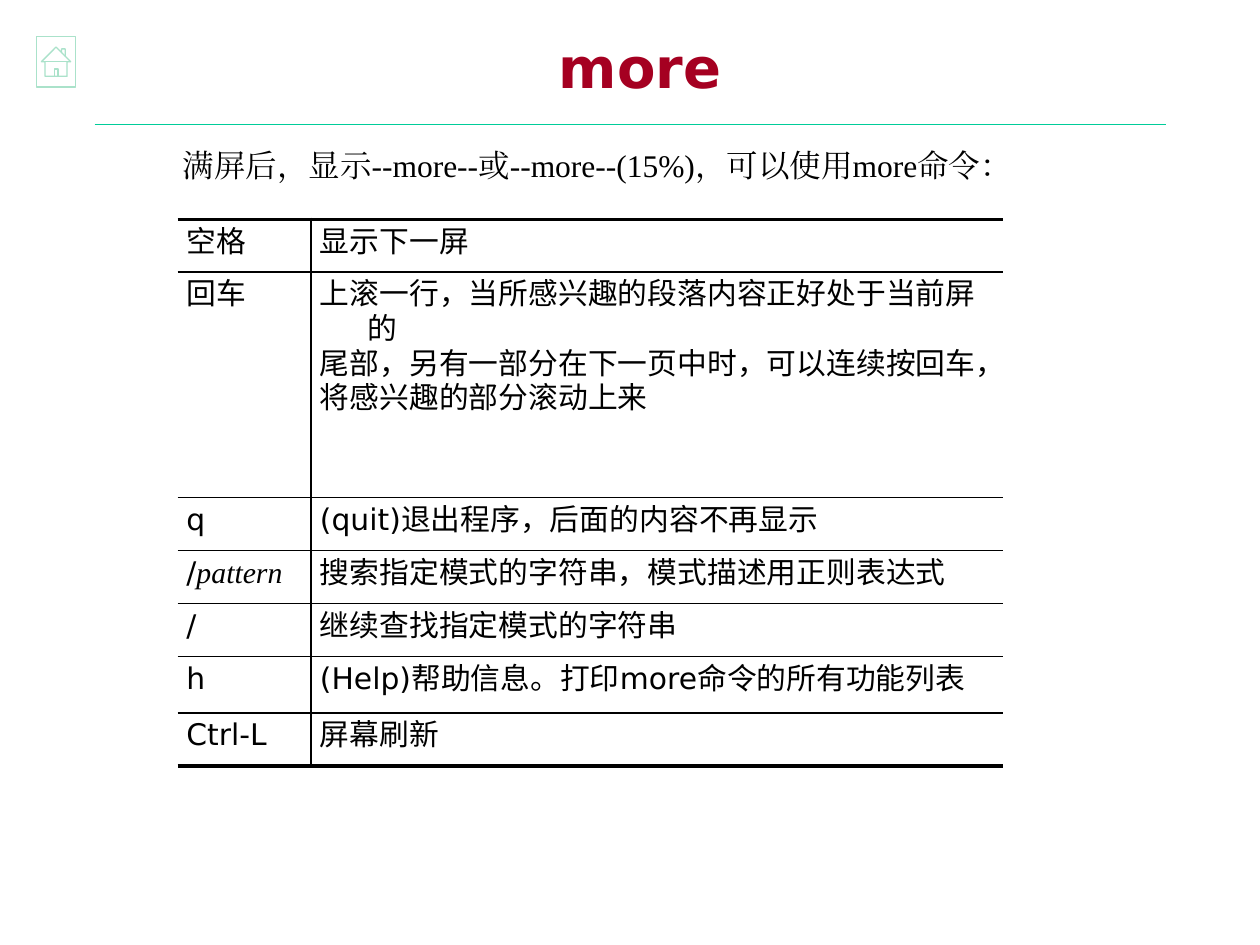
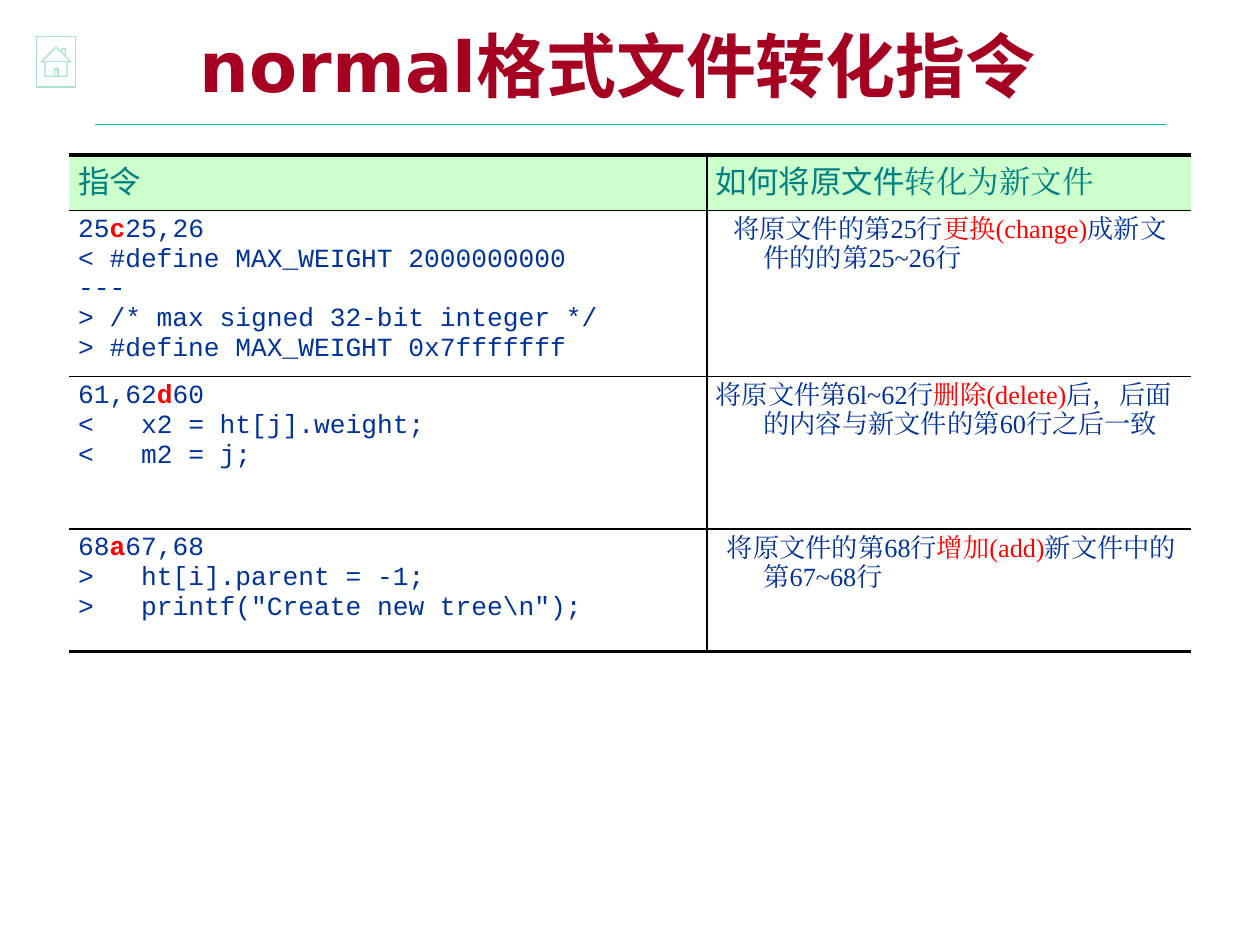
from lxml import etree
from pptx import Presentation
from pptx.dml.color import RGBColor
from pptx.enum.shapes import MSO_CONNECTOR as Connector, MSO_SHAPE as Preset
from pptx.enum.text import MSO_ANCHOR as Anchor, MSO_AUTO_SIZE as AutoSize, PP_ALIGN as Align
from pptx.oxml.ns import qn
from pptx.util import Inches, Pt

COLORS = {
    "black": "000000",
    "title": "A50021",
    "rule": "00CC99",
    "home": "AAE2CA",
    "head_fill": "CCFFCC",
    "head_text": "008080",
    "body": "003399",
    "key": "FF0000",
}
SANS, SERIF = "DejaVu Sans", "Times New Roman"
CODE, HEAD, HEAD_ALT = "Courier New", "Noto Sans Mono", "Cambria"
HANG = 0.38
THIN, THICK = 1, 2.25


def color(name):
    return RGBColor.from_string(COLORS[name])


def add_span(para, text, font=SANS, size=17, ink="black", bold=False, italic=False):
    span = para.add_run()
    span.text = text
    span.font.name = font
    span.font.size = Pt(size)
    span.font.bold = bold
    span.font.italic = italic
    span.font.color.rgb = color(ink)
    east = etree.SubElement(span.font._element, qn("a:ea"))
    east.set("typeface", font)


def set_indent(para, left, first, tab=None):
    props = para._p.get_or_add_pPr()
    props.set("marL", str(Inches(left)))
    props.set("indent", str(Inches(first)))
    if tab:
        stops = etree.SubElement(props, qn("a:tabLst"))
        etree.SubElement(stops, qn("a:tab"), pos=str(Inches(tab)), algn="l")


def set_margins(holder):
    holder.margin_left = holder.margin_right = Inches(0.07)
    holder.margin_top = holder.margin_bottom = Inches(0.04)


def set_border(cell, index, side, width):
    line = etree.Element(qn(f"a:{side}"), w=str(Pt(width)))
    if width:
        fill = etree.SubElement(line, qn("a:solidFill"))
        etree.SubElement(fill, qn("a:srgbClr"), val=COLORS["black"])
    else:
        etree.SubElement(line, qn("a:noFill"))
    cell._tc.get_or_add_tcPr().insert(index, line)


class SlideBuilder:
    def __init__(self):
        self.deck = Presentation()
        self.deck.slide_width = Inches(10)
        self.deck.slide_height = Inches(7.5)
        self.page = None

    def add_page(self, title, left, width, size):
        self.page = self.deck.slides.add_slide(self.deck.slide_layouts[5])
        self.rule()
        self.title(title, left, width, size)
        self.home_button()

    def title(self, text, left, width, size):
        box = self.page.shapes.title
        box.left, box.top = Inches(left), Inches(0.13)
        box.width, box.height = Inches(width), Inches(0.87)
        frame = box.text_frame
        frame.auto_size = AutoSize.NONE
        frame.word_wrap = True
        frame.vertical_anchor = Anchor.MIDDLE
        para = frame.paragraphs[0]
        para.alignment = Align.CENTER
        para.line_spacing = 0.85
        add_span(para, text, size=size, ink="title", bold=True)

    def rule(self):
        line = self.page.shapes.add_connector(
            Connector.STRAIGHT, Inches(0.75), Inches(0.99), Inches(9.25), Inches(0.99))
        line.line.color.rgb = color("rule")
        line.line.width = Pt(0.75)
        etree.SubElement(line._element.spPr, qn("a:effectLst"))

    def home_button(self):
        button = self.page.shapes.add_shape(
            Preset.ACTION_BUTTON_HOME, Inches(0.29), Inches(0.29), Inches(0.31), Inches(0.4))
        button.shadow.inherit = False
        button.fill.background()
        button.line.color.rgb = color("home")
        button.line.width = Pt(0.75)

    def note(self, text, left, top, width, height):
        box = self.page.shapes.add_textbox(
            Inches(left), Inches(top), Inches(width), Inches(height))
        frame = box.text_frame
        frame.word_wrap = True
        set_margins(frame)
        para = frame.paragraphs[0]
        para.line_spacing = 0.9
        set_indent(para, 0.28, -0.28)
        add_span(para, text, font=SERIF, size=18)

    def table(self, left, top, widths, heights, rows, header=False):
        """Each cell is a list of paragraphs: (spans, indent options)."""
        table = self.page.shapes.add_table(
            len(rows), len(widths), Inches(left), Inches(top),
            Inches(sum(widths)), Inches(sum(heights))).table
        table.first_row = header
        table.horz_banding = False
        for column, width in zip(table.columns, widths):
            column.width = Inches(width)
        for r, (row, height) in enumerate(zip(rows, heights)):
            table.rows[r].height = Inches(height)
            for c, paragraphs in enumerate(row):
                cell = table.cell(r, c)
                if header and r == 0:
                    cell.fill.solid()
                    cell.fill.fore_color.rgb = color("head_fill")
                else:
                    cell.fill.background()
                borders = {
                    "lnL": THIN if c else 0,
                    "lnR": THIN if c < len(widths) - 1 else 0,
                    "lnT": THIN if r else THICK,
                    "lnB": THIN if r < len(rows) - 1 else THICK,
                }
                for index, (side, width) in enumerate(borders.items()):
                    set_border(cell, index, side, width)
                self.fill_cell(cell, paragraphs)

    def fill_cell(self, cell, paragraphs):
        set_margins(cell)
        frame = cell.text_frame
        for index, (spans, indent) in enumerate(paragraphs):
            para = frame.paragraphs[0] if index == 0 else frame.add_paragraph()
            set_indent(para, **{"left": HANG, "first": -HANG, **indent})
            for text, style in spans:
                add_span(para, text, **style)


def plain(*lines):
    return [([(line, {})], {}) for line in lines]


def marked(before, key, after, font, bold=False, **indent):
    body = {"font": font, "size": 15, "ink": "body"}
    return [([(before, body), (key, {**body, "ink": "key", "bold": bold}), (after, body)], indent)]


def code(first, lines, tab=None):
    body = {"font": CODE, "size": 15, "ink": "body"}
    indent = {"left": 0, "first": 0, "tab": tab} if tab else {}
    return marked(*first, CODE, bold=True) + [([(line, body)], indent) for line in lines]


def explain(before, key, after, shift=0):
    return marked(before, key, after, SERIF, first=shift - HANG)


def build_more(builder):
    builder.add_page("more", 0.83, 8.5, 32)
    builder.note("满屏后，显示--more--或--more--(15%)，可以使用more命令：", 1.38, 1.15, 7, 0.35)
    pattern = [([("/", {}), ("pattern", {"font": SERIF, "italic": True})], {})]
    rows = [
        (plain("空格"), plain("显示下一屏")),
        (plain("回车"), plain("上滚一行，当所感兴趣的段落内容正好处于当前屏的",
                            "尾部，另有一部分在下一页中时，可以连续按回车，",
                            "将感兴趣的部分滚动上来")),
        (plain("q"), plain("(quit)退出程序，后面的内容不再显示")),
        (pattern, plain("搜索指定模式的字符串，模式描述用正则表达式")),
        (plain("/"), plain("继续查找指定模式的字符串")),
        (plain("h"), plain("(Help)帮助信息。打印more命令的所有功能列表")),
        (plain("Ctrl-L"), plain("屏幕刷新")),
    ]
    heights = [0.42, 1.79, 0.42, 0.42, 0.42, 0.45, 0.42]
    builder.table(1.41, 1.74, [1.06, 5.49], heights, rows)


def build_normal_format(builder):
    builder.add_page("normal格式文件转化指令 ", 0, 10, 40)
    head = {"font": HEAD, "size": 18, "ink": "head_text"}
    rows = [
        ([([("指令", head)], {})],
         [([("如何将原文件", head), ("转化为新文件", {**head, "font": HEAD_ALT})], {})]),
        (code(("25", "c", "25,26"),
              ["< #define MAX_WEIGHT 2000000000", "---",
               "> /* max signed 32-bit integer */",
               "> #define MAX_WEIGHT 0x7fffffff"]),
         explain("将原文件的第25行", "更换(change)", "成新文件的的第25~26行", shift=0.14)),
        (code(("61,62", "d", "60"),
              ["<\tx2 = ht[j].weight;", "<\tm2 = j;"], tab=2.25),
         explain("将原文件第6l~62行", "删除(delete)", "后，后面的内容与新文件的第60行之后一致")),
        (code(("68", "a", "67,68"),
              [">\tht[i].parent = -1;", ">\tprintf(\"Create new tree\\n\");"], tab=1.25),
         explain("将原文件的第68行", "增加(add)", "新文件中的第67~68行", shift=0.09)),
    ]
    builder.table(0.55, 1.23, [5.06, 3.84], [0.44, 1.32, 1.21, 0.97], rows, header=True)


def main():
    builder = SlideBuilder()
    build_more(builder)
    build_normal_format(builder)
    builder.deck.save("out.pptx")


if __name__ == "__main__":
    main()
